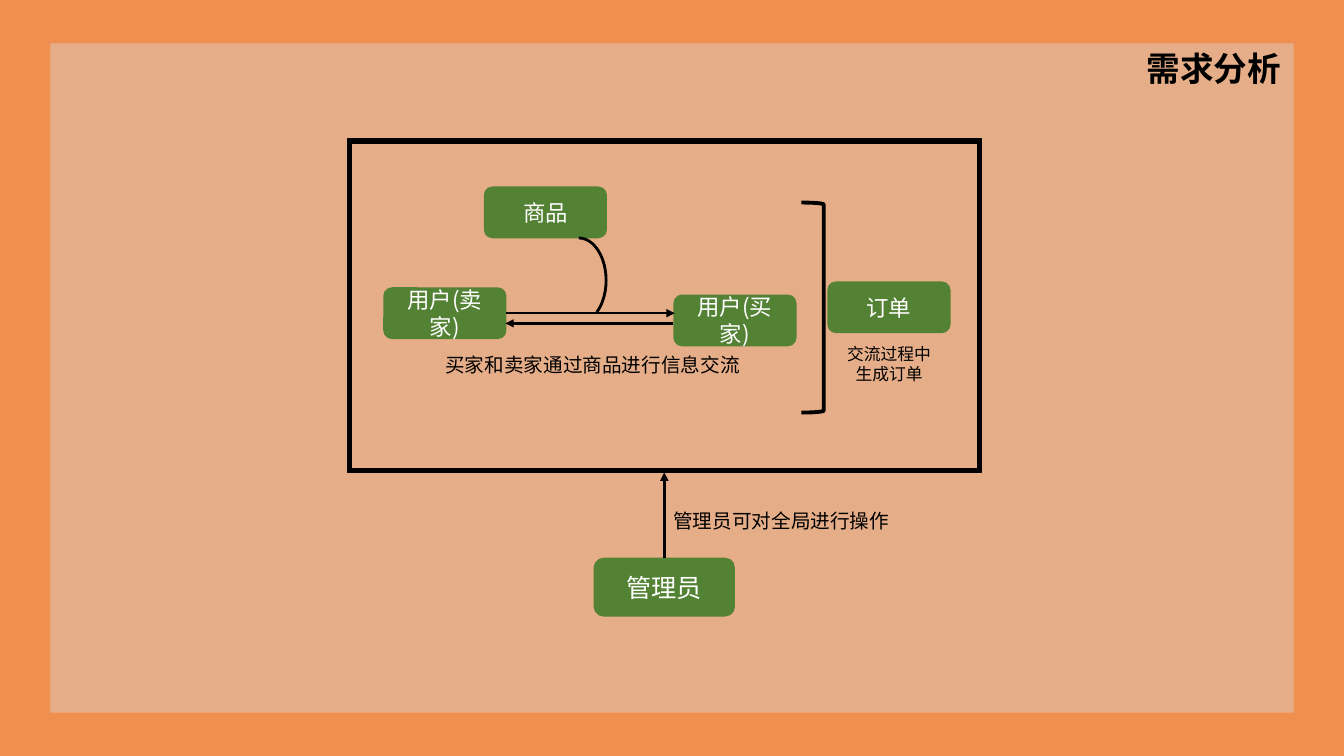
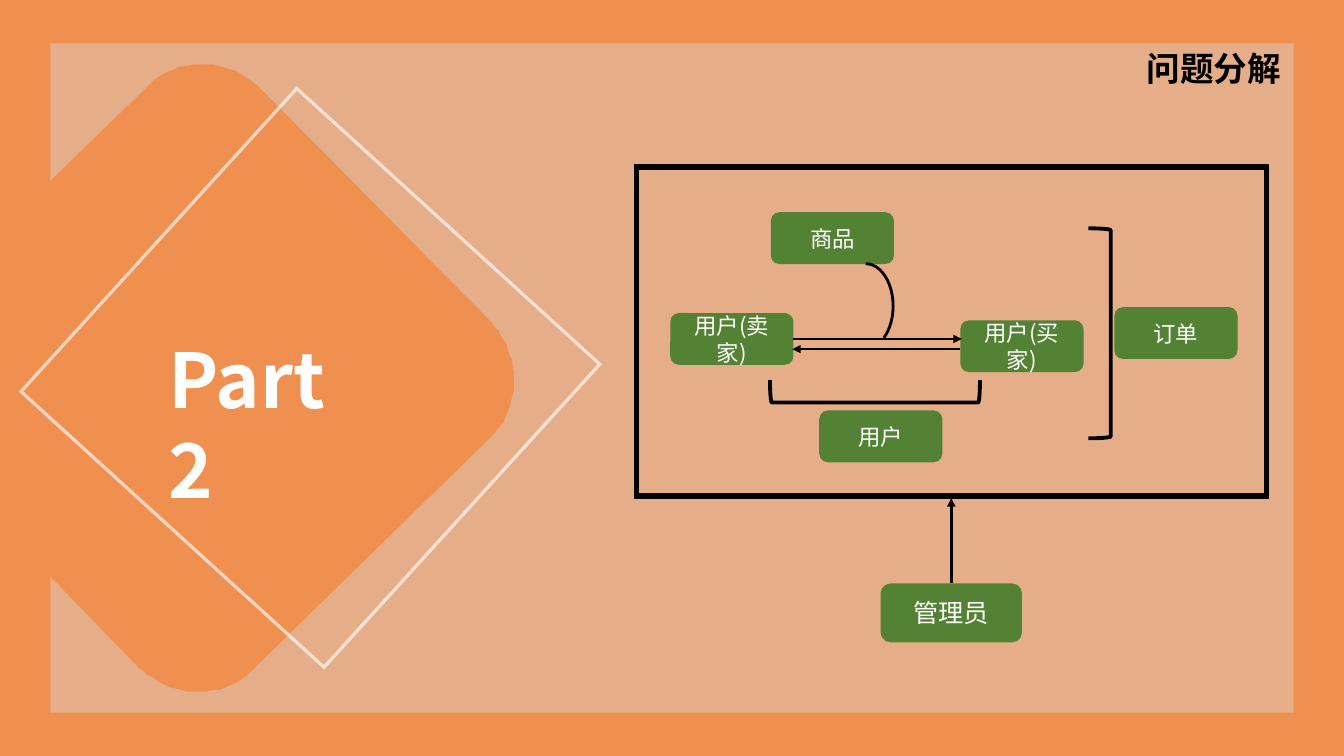
from lxml import etree
from pptx import Presentation
from pptx import util as u
from pptx.dml.color import RGBColor
from pptx.enum import shapes, text
from pptx.oxml import ns

Pt = u.Pt
MSO = shapes.MSO_SHAPE
ALIGN = text.PP_ALIGN
FONT = "Noto Sans CJK SC"
COLORS = {"back": "F09050", "panel": "D9D9D9", "box": "548235", "ink": "000000", "white": "FFFFFF"}
PANEL = (36, 31, 888, 478)
TITLE = (812, 31, 112, 36)

FRAME = (248, 99.4, 453, 238)
BOX_SIZE = (88, 37)
BOXES = [("订单", 591, 201), ("用户(卖家)", 273.8, 205.2), ("用户(买家)", 481, 210.4), ("商品", 345.6, 133.2)]
USER_BOX = ("用户", 380.2, 274.8)
ADMIN = ("管理员", 424, 398.4, 101, 42)
ARC = (394, 170, 39, 60.5)
BRACKET_SIZE = (16, 150)
ORDER_BRACKET = (572.4, 144.7, 0)
USER_BRACKET = (412, 186.2, 90)
CAPTIONS = [
    (["买家和卖家通过商品进行信息交流"], (311, 248.4, 227, 24), 14, ALIGN.LEFT),
    (["交流过程中", "生成订单"], (597.6, 242, 75, 36), 12, ALIGN.CENTER),
    (["管理员可对全局进行操作"], (473.8, 360, 170, 24), 14, ALIGN.LEFT),
]

PART = ("Part 2", (113, 234, 160, 73))
DIAMOND = (74.2, 122.4, 295, 295)
CUTOUT = [
    [(924, 31)], [(924, 509)], [(36, 509)], [(36, 412)],
    [(99.4, 476.6)], [(122.4, 499.7), (159, 500.4), (182.2, 477.4)],
    [(350, 313.2)], [(373, 291), (373, 253.4), (350.6, 230.4)],
    [(186.5, 63.4)], [(163.4, 40.3), (126.7, 39.6), (103.7, 62.6)],
    [(36, 129)],
]


def rgb(name):
    return RGBColor.from_string(COLORS[name])


def paint(sp, fill=None, line=None, width=1, alpha=None):
    sp.shadow.inherit = False
    if fill:
        sp.fill.solid()
        sp.fill.fore_color.rgb = rgb(fill)
    else:
        sp.fill.background()
    if alpha:
        color = sp.fill._xPr.find(".//" + ns.qn("a:srgbClr"))
        etree.SubElement(color, ns.qn("a:alpha"), val=str(alpha * 1000))
    if line:
        sp.line.color.rgb = rgb(line)
        sp.line.width = Pt(width)
    else:
        sp.line.fill.background()
    return sp


def add_shape(s, kind, at, **style):
    return paint(s.shapes.add_shape(kind, *map(Pt, at)), **style)


def write(sp, lines, size, color, align=ALIGN.LEFT, bold=False, wrap=False):
    tf = sp.text_frame
    tf.word_wrap = wrap
    for i, line in enumerate(lines):
        p = tf.add_paragraph() if i else tf.paragraphs[0]
        p.alignment = align
        r = p.add_run()
        r.text = line
        font = p.font
        font.size, font.bold, font.name = Pt(size), bold, FONT
        font.color.rgb = rgb(color)
        etree.SubElement(font._element, ns.qn("a:ea"), typeface=FONT)


def add_text(s, lines, at, *args, **style):
    write(s.shapes.add_textbox(*map(Pt, at)), lines, *args, **style)


def add_box(s, label, at, size=16):
    sp = add_shape(s, MSO.ROUNDED_RECTANGLE, at, fill="box")
    write(sp, [label], size, "white", ALIGN.CENTER, wrap=True)
    sp.text_frame.vertical_anchor = text.MSO_ANCHOR.MIDDLE
    return sp


def add_arrow(s, start, end, width):
    c = s.shapes.add_connector(shapes.MSO_CONNECTOR.STRAIGHT, *map(Pt, start + end))
    c.line.color.rgb = rgb("ink")
    c.line.width = Pt(width)
    etree.SubElement(c.line._get_or_add_ln(), ns.qn("a:tailEnd"), type="triangle")
    etree.SubElement(c._element.spPr, ns.qn("a:effectLst"))
    return c


def add_bracket(s, x, y, turn):
    sp = add_shape(s, MSO.RIGHT_BRACKET, (x, y) + BRACKET_SIZE, line="ink", width=2.75)
    sp.rotation = turn


def add_diagram(s, dx=0, dy=0):
    def moved(x, y, *rest):
        return (x + dx, y + dy) + rest

    name, *at = ADMIN
    admin = add_box(s, name, moved(*at), 18)
    boxes = {label: add_box(s, label, moved(x, y) + BOX_SIZE) for label, x, y in BOXES}
    forth = add_arrow(s, moved(361.8, 223.7), moved(482, 223.7), 1.75)
    forth.begin_connect(boxes["用户(卖家)"], 3)
    add_arrow(s, moved(481, 231), moved(361, 231), 1.75)
    arc = add_shape(s, MSO.ARC, moved(*ARC), line="ink", width=2)
    arc.adjustments[0], arc.adjustments[1] = 162, 36.31
    add_bracket(s, *moved(*ORDER_BRACKET))
    frame = add_shape(s, MSO.FRAME, moved(*FRAME), fill="ink", line="ink")
    frame.adjustments[0] = 0.012
    up = add_arrow(s, moved(474.5, 398.4), moved(474.5, 337.4), 2)
    up.begin_connect(admin, 0)
    up.end_connect(frame, 2)
    return moved


def bezier(p0, p1, p2, p3, steps=24):
    for i in range(1, steps + 1):
        t = i / steps
        weights = ((1 - t) ** 3, 3 * t * (1 - t) ** 2, 3 * t * t * (1 - t), t ** 3)
        yield tuple(sum(w * p[k] for w, p in zip(weights, (p0, p1, p2, p3))) for k in (0, 1))


def add_cutout_panel(s):
    points = [PANEL[:2]]
    for step in CUTOUT:
        points += list(bezier(points[-1], *step)) if len(step) == 3 else step
    outline = s.shapes.build_freeform(*points[0], scale=float(Pt(1)))
    outline.add_line_segments(points[1:], close=True)
    paint(outline.convert_to_shape(), fill="panel", alpha=41)


def new_slide(prs):
    return prs.slides.add_slide(prs.slide_layouts[6])


def add_title(s, title):
    add_text(s, [title], TITLE, 24, "ink", bold=True)


def requirements_slide(prs):
    s = new_slide(prs)
    add_shape(s, MSO.RECTANGLE, PANEL, fill="panel", alpha=41)
    add_title(s, "需求分析")
    add_diagram(s)
    for lines, at, size, align in CAPTIONS:
        add_text(s, lines, at, size, "ink", align)


def breakdown_slide(prs):
    s = new_slide(prs)
    add_cutout_panel(s)
    diamond = add_shape(s, MSO.FRAME, DIAMOND, fill="white", alpha=62)
    diamond.adjustments[0] = 0.008
    diamond.rotation = 42.3
    label, at = PART
    add_text(s, [label], at, 54, "white", bold=True, wrap=True)
    add_title(s, "问题分解")
    moved = add_diagram(s, 205, 18.4)
    name, x, y = USER_BOX
    add_box(s, name, moved(x, y) + BOX_SIZE)
    add_bracket(s, *moved(*USER_BRACKET))


def main():
    prs = Presentation()
    prs.slide_width, prs.slide_height = Pt(960), Pt(540)
    back = prs.slide_master.background.fill
    back.solid()
    back.fore_color.rgb = rgb("back")
    requirements_slide(prs)
    breakdown_slide(prs)
    prs.save("out.pptx")


if __name__ == "__main__":
    main()
